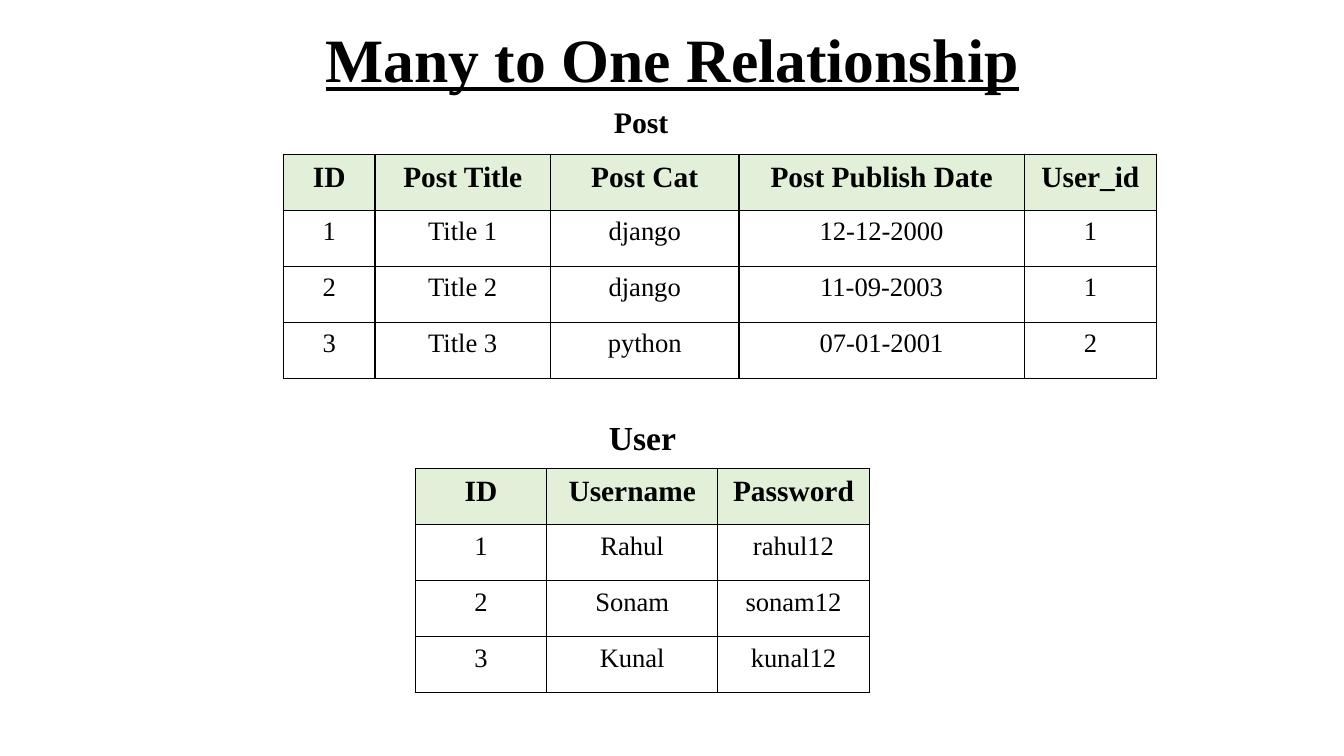
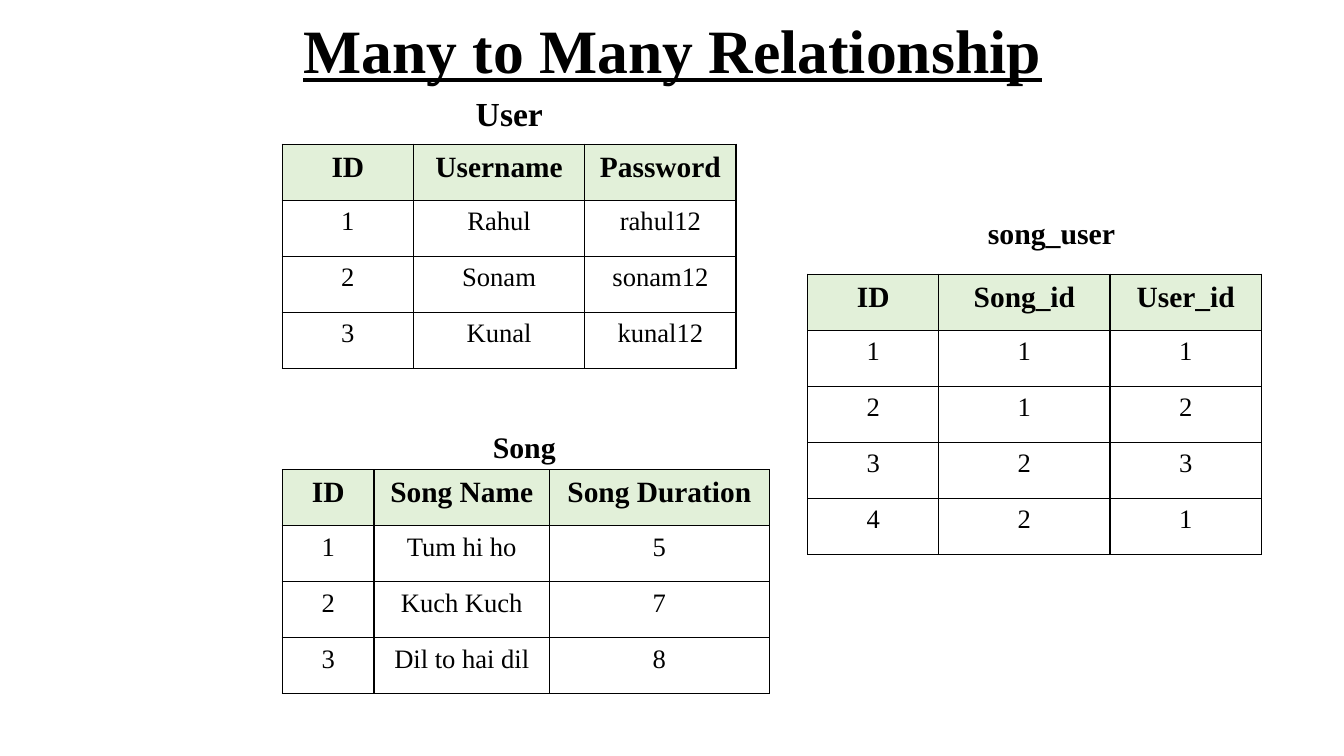
import pptx
import pptx.dml.color
import pptx.enum.text
import pptx.oxml
import pptx.oxml.ns
import pptx.util
from pptx.util import Inches

COLORS = {"text": "000000", "border": "000000", "header": "E2F0D9", "page": "FFFFFF"}
FONT = "Times New Roman"
CENTER = pptx.enum.text.PP_ALIGN.CENTER
LEFT = pptx.enum.text.PP_ALIGN.LEFT
ROW_HEIGHT = pptx.util.Pt(40)
BORDER_WIDTH = pptx.util.Pt(1)

USER_COLUMNS = [1.3, 1.7, 1.5]
USER_ROWS = [
    ["ID", "Username", "Password"],
    ["1", "Rahul", "rahul12"],
    ["2", "Sonam", "sonam12"],
    ["3", "Kunal", "kunal12"],
]
POST_COLUMNS = [0.91, 1.74, 1.87, 2.83]
POST_ROWS = [
    ["ID", "Post Title", "Post Cat", "Post Publish Date"],
    ["1", "Title 1", "django", "12-12-2000"],
    ["2", "Title 2", "django", "11-09-2003"],
    ["3", "Title 3", "python", "07-01-2001"],
]
POST_USER_COLUMNS = [1.31]
POST_USER_ROWS = [["User_id"], ["1"], ["1"], ["2"]]
SONG_COLUMNS = [0.91, 1.74, 2.18]
SONG_ROWS = [
    ["ID", "Song Name", "Song Duration"],
    ["1", "Tum hi ho", "5"],
    ["2", "Kuch Kuch", "7"],
    ["3", "Dil to hai dil", "8"],
]
SONG_USER_COLUMNS = USER_COLUMNS
SONG_USER_ROWS = [
    ["ID", "Song_id", "User_id"],
    ["1", "1", "1"],
    ["2", "1", "2"],
    ["3", "2", "3"],
    ["4", "2", "1"],
]


def rgb(name):
    return pptx.dml.color.RGBColor.from_string(COLORS[name])


def write(frame, text, size, bold=True, underline=None, align=CENTER, spacing=None):
    paragraph = frame.paragraphs[0]
    paragraph.alignment = align
    paragraph.line_spacing = spacing
    run = paragraph.add_run()
    run.text = text
    run.font.name = FONT
    run.font.size = pptx.util.Pt(size)
    run.font.bold = bold
    run.font.underline = underline
    run.font.color.rgb = rgb("text")


def add_titled_slide(deck, heading, top):
    slide = deck.slides.add_slide(deck.slide_layouts[5])
    slide.background.fill.solid()
    slide.background.fill.fore_color.rgb = rgb("page")
    title = slide.shapes.title
    title.left, title.top = Inches(0.67), Inches(top)
    title.width, title.height = Inches(12), Inches(0.94)
    frame = title.text_frame
    frame.auto_size = pptx.enum.text.MSO_AUTO_SIZE.NONE
    frame.vertical_anchor = pptx.enum.text.MSO_ANCHOR.MIDDLE
    write(frame, heading, 44, underline=True, spacing=0.9)
    return slide


def outline_cell(cell):
    properties = cell._tc.get_or_add_tcPr()
    for side in ("lnL", "lnR", "lnT", "lnB"):
        properties.append(pptx.oxml.parse_xml(
            f'<a:{side} {pptx.oxml.ns.nsdecls("a")} w="{BORDER_WIDTH}">'
            f'<a:solidFill><a:srgbClr val="{COLORS["border"]}"/></a:solidFill>'
            f'</a:{side}>'))


def fill_cell(cell, text, is_header):
    cell.margin_left = cell.margin_right = Inches(0.13)
    cell.margin_top = cell.margin_bottom = Inches(0.07)
    outline_cell(cell)
    if is_header:
        cell.fill.solid()
        cell.fill.fore_color.rgb = rgb("header")
    else:
        cell.fill.background()
    write(cell.text_frame, text, 21 if is_header else 19, bold=is_header)


def add_grid(slide, left, top, columns, rows):
    table = slide.shapes.add_table(
        len(rows), len(columns), Inches(left), Inches(top),
        Inches(sum(columns)), ROW_HEIGHT * len(rows)).table
    table.first_row = table.horz_banding = False
    for column, width in zip(table.columns, columns):
        column.width = Inches(width)
    for row_index, texts in enumerate(rows):
        table.rows[row_index].height = ROW_HEIGHT
        for column_index, text in enumerate(texts):
            fill_cell(table.cell(row_index, column_index), text, row_index == 0)


def add_caption(slide, left, top, width, text, size):
    caption = slide.shapes.add_textbox(
        Inches(left), Inches(top), Inches(width), Inches(0.5 if size > 22 else 0.46))
    caption.text_frame.word_wrap = False
    caption.text_frame.auto_size = pptx.enum.text.MSO_AUTO_SIZE.SHAPE_TO_FIT_TEXT
    write(caption.text_frame, text, size, align=LEFT)


def add_user_entity(slide, left, top):
    add_grid(slide, left, top, USER_COLUMNS, USER_ROWS)
    add_caption(slide, left + 1.82, top - 0.56, 0.88, "User", 24)


def add_post_entity(slide, left, top):
    """Place the posts with the column that refers to their user beside them."""
    add_grid(slide, left, top, POST_COLUMNS, POST_ROWS)
    add_grid(slide, left + sum(POST_COLUMNS), top, POST_USER_COLUMNS, POST_USER_ROWS)
    add_caption(slide, left + 3.18, top - 0.55, 0.75, "Post", 21.3)


def add_song_entity(slide, left, top):
    add_grid(slide, left, top, SONG_COLUMNS, SONG_ROWS)
    add_caption(slide, left + 1.99, top - 0.46, 0.83, "Song", 21.3)


def add_song_user_entity(slide, left, top):
    add_grid(slide, left, top, SONG_USER_COLUMNS, SONG_USER_ROWS)
    add_caption(slide, left + 1.69, top - 0.64, 1.48, "song_user", 21.3)


def build_many_to_one(deck):
    slide = add_titled_slide(deck, "Many to One Relationship", 0.15)
    add_post_entity(slide, 2.81, 1.53)
    add_user_entity(slide, 4.12, 4.65)


def build_many_to_many(deck):
    slide = add_titled_slide(deck, "Many to Many Relationship", 0.06)
    add_user_entity(slide, 2.8, 1.43)
    add_song_entity(slide, 2.8, 4.66)
    add_song_user_entity(slide, 8.01, 2.72)


def main():
    deck = pptx.Presentation()
    deck.slide_width, deck.slide_height = Inches(13.33), Inches(7.5)
    build_many_to_one(deck)
    build_many_to_many(deck)
    deck.save("out.pptx")


if __name__ == "__main__":
    main()
